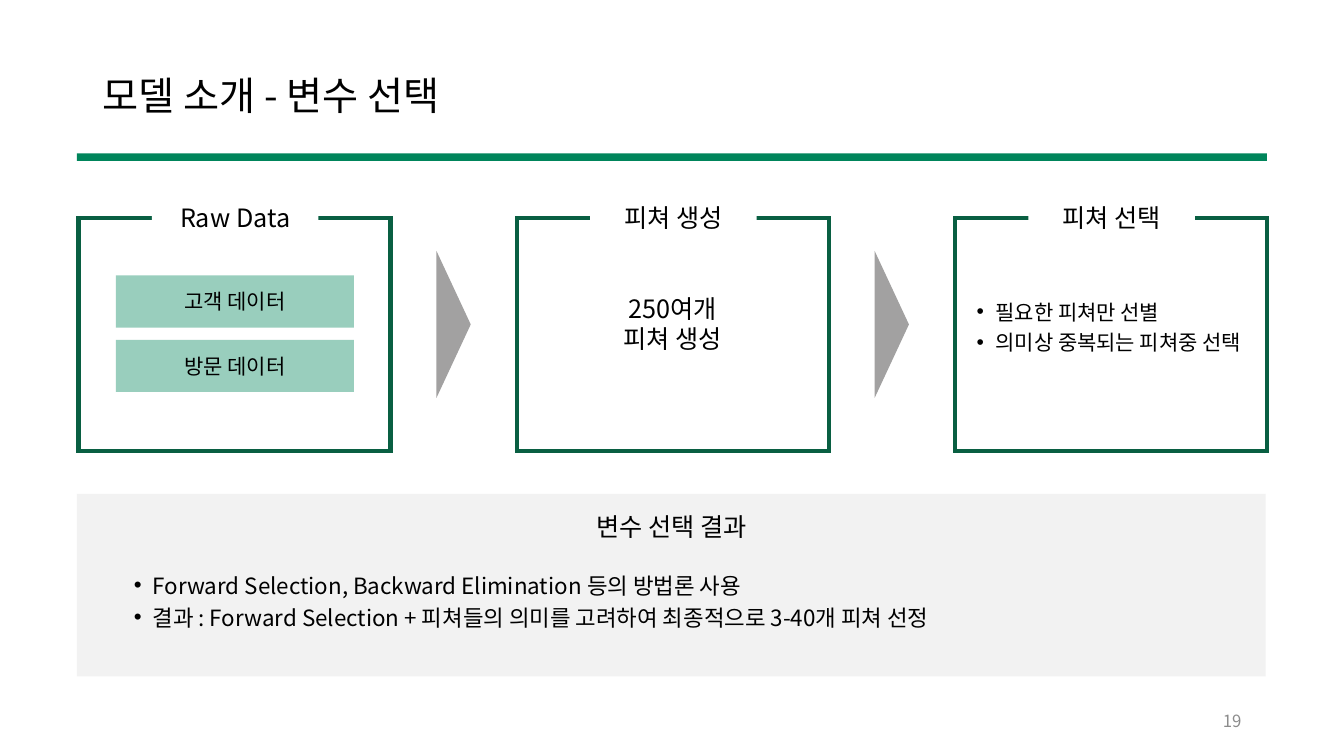
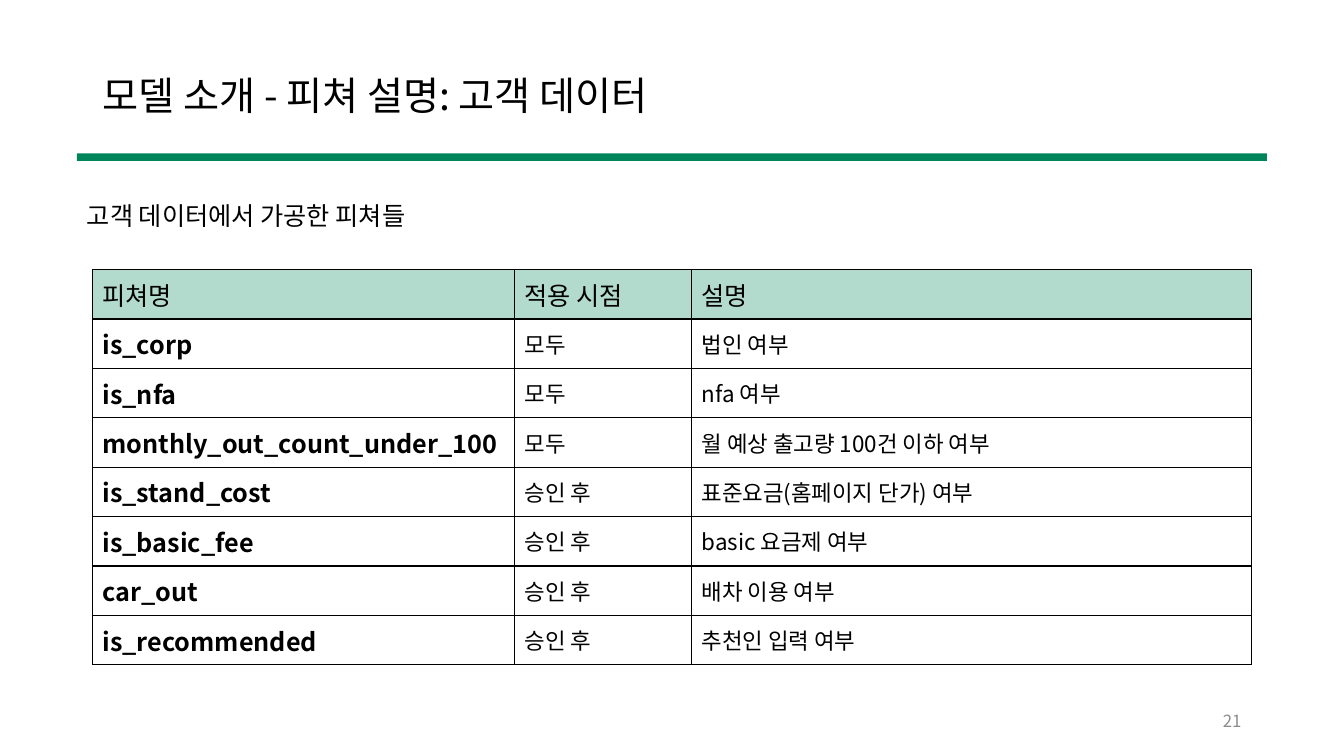
from dataclasses import dataclass
from typing import NamedTuple

from lxml import etree
from pptx import Presentation
from pptx.dml.color import RGBColor
from pptx.enum.shapes import MSO_SHAPE
from pptx.enum.text import MSO_ANCHOR, MSO_AUTO_SIZE, PP_ALIGN
from pptx.oxml.ns import qn
from pptx.util import Pt

RECT, TRIANGLE = MSO_SHAPE.RECTANGLE, MSO_SHAPE.ISOSCELES_TRIANGLE
LEFT, CENTER, RIGHT = PP_ALIGN.LEFT, PP_ALIGN.CENTER, PP_ALIGN.RIGHT
TOP, MIDDLE = MSO_ANCHOR.TOP, MSO_ANCHOR.MIDDLE
GROW, FIXED = MSO_AUTO_SIZE.SHAPE_TO_FIT_TEXT, MSO_AUTO_SIZE.NONE
TITLE_ONLY = 5


@dataclass(frozen=True)
class Theme:
    font: str = "Noto Sans CJK KR"
    text: str = "000000"
    muted: str = "8C8C8C"
    white: str = "FFFFFF"
    band: str = "00855B"
    frame: str = "095F42"
    chip: str = "99CEBD"
    header: str = "B2DACD"
    arrow: str = "A2A1A1"
    panel: str = "F2F2F2"
    title_size: float = 28
    head_size: float = 18
    body_size: float = 16
    small_size: float = 15
    number_size: float = 12


T = Theme()


class Box(NamedTuple):
    x: float
    y: float
    w: float
    h: float

    def pts(self) -> tuple:
        return tuple(Pt(v) for v in self)


class Style(NamedTuple):
    size: float
    color: str = T.text
    bold: bool = False
    align: PP_ALIGN = LEFT
    anchor: MSO_ANCHOR = TOP
    grow: bool = False
    spacing: float = 1.0
    bullet: bool = False


TITLE = Style(T.title_size, anchor=MIDDLE, spacing=0.9)
NUMBER = Style(T.number_size, T.muted, align=RIGHT, anchor=MIDDLE)
HEADING = Style(T.head_size, align=CENTER, grow=True)
INTRO = Style(T.head_size, grow=True)
CHIP = Style(T.small_size, align=CENTER, anchor=MIDDLE)
CARD_LIST = Style(T.small_size, grow=True, spacing=1.2, bullet=True)
RESULT_LIST = CARD_LIST._replace(size=T.body_size)
CELL_HEAD = Style(T.head_size, anchor=MIDDLE)
CELL_NAME = CELL_HEAD._replace(bold=True)
CELL_BODY = CELL_HEAD._replace(size=T.body_size)

TITLE_BOX = Box(66, 40, 828, 60)
BAND = Box(55, 109.5, 850, 5.5)
NUMBER_BOX = Box(678, 500.5, 216, 28.75)
CARD = Box(56, 155.5, 223, 166.5)
CARD_PITCH = 313
LABEL = Box(52.5, -14.5, 119, 29)
CHIPS = Box(82.8, 196.75, 170, 37.25)
CHIP_PITCH = 46
ARROW_W, ARROW_H = 105, 24.5
ARROW_Y = 231.75
PANEL = Box(55, 352.75, 849, 130.5)
CARD_LABELS = ["Raw Data", "피쳐 생성", "피쳐 선택"]
TABLE = Box(66, 192.5, 828, 282.4)
COLUMNS = [301.5, 126.5, 400]
ROWS = [
    ("피쳐명", "적용 시점", "설명"),
    ("is_corp", "모두", "법인 여부"),
    ("is_nfa", "모두", "nfa 여부"),
    ("monthly_out_count_under_100", "모두", "월 예상 출고량 100건 이하 여부"),
    ("is_stand_cost", "승인 후", "표준요금(홈페이지 단가) 여부"),
    ("is_basic_fee", "승인 후", "basic 요금제 여부"),
    ("car_out", "승인 후", "배차 이용 여부"),
    ("is_recommended", "승인 후", "추천인 입력 여부"),
]


def rgb(color: str) -> RGBColor:
    return RGBColor.from_string(color)


def set_attrs(target, values: dict) -> None:
    for name, value in values.items():
        setattr(target, name, value)


def add_bullet(p) -> None:
    pPr = p._p.get_or_add_pPr()
    pPr.set("marL", str(Pt(13.5)))
    pPr.set("indent", str(Pt(-13.5)))
    etree.SubElement(pPr, qn("a:buFont"), typeface="Arial")
    etree.SubElement(pPr, qn("a:buChar"), char="•")


def write(tf, lines: list[str], style: Style) -> None:
    for i, line in enumerate(lines):
        p = tf.paragraphs[0] if i == 0 else tf.add_paragraph()
        if style.bullet:
            add_bullet(p)
        set_attrs(p, {"alignment": style.align, "line_spacing": style.spacing})
        r = p.add_run()
        r.text = line
        set_attrs(r.font, {"name": T.font, "size": Pt(style.size), "bold": style.bold})
        r.font.color.rgb = rgb(style.color)
        etree.SubElement(r.font._element, qn("a:ea"), typeface=T.font)


def fill_frame(sp, lines: list[str], style: Style) -> None:
    tf = sp.text_frame
    set_attrs(tf, {
        "word_wrap": True,
        "auto_size": GROW if style.grow else FIXED,
        "vertical_anchor": style.anchor,
    })
    write(tf, lines, style)


def add_text(s, box: Box, lines: list[str], style: Style) -> None:
    fill_frame(s.shapes.add_textbox(*box.pts()), lines, style)


def add_block(s, box: Box, fill: str, kind: MSO_SHAPE = RECT):
    sp = s.shapes.add_shape(kind, *box.pts())
    sp.shadow.inherit = False
    sp.fill.solid()
    sp.fill.fore_color.rgb = rgb(fill)
    sp.line.fill.background()
    return sp


def add_card(s, x: float, label: str) -> None:
    sp = s.shapes.add_shape(RECT, *CARD._replace(x=x).pts())
    sp.shadow.inherit = False
    sp.fill.background()
    sp.line.color.rgb = rgb(T.frame)
    sp.line.width = Pt(3)
    ln = sp._element.spPr.find(qn("a:ln"))
    etree.SubElement(ln, qn("a:miter"), lim="800000")
    tab = LABEL._replace(x=x + LABEL.x, y=CARD.y + LABEL.y)
    fill_frame(add_block(s, tab, T.white), [label], HEADING)


def add_arrow(s, center: float) -> None:
    box = Box(center - ARROW_W / 2, ARROW_Y - ARROW_H / 2, ARROW_W, ARROW_H)
    add_block(s, box, T.arrow, TRIANGLE).rotation = 90


def add_borders(cell) -> None:
    tcPr = cell._tc.get_or_add_tcPr()
    for i, side in enumerate("LRTB"):
        ln = etree.Element(qn(f"a:ln{side}"), w=str(Pt(1)))
        fill = etree.SubElement(ln, qn("a:solidFill"))
        etree.SubElement(fill, qn("a:srgbClr"), val=T.text)
        tcPr.insert(i, ln)


def add_feature_table(s) -> None:
    table = s.shapes.add_table(len(ROWS), len(COLUMNS), *TABLE.pts()).table
    table.horz_banding = False
    for column, width in zip(table.columns, COLUMNS):
        column.width = Pt(width)
    for r, texts in enumerate(ROWS):
        table.rows[r].height = Pt(TABLE.h / len(ROWS))
        for c, text in enumerate(texts):
            cell = table.cell(r, c)
            cell.vertical_anchor = MIDDLE
            if r == 0:
                cell.fill.solid()
                cell.fill.fore_color.rgb = rgb(T.header)
                style = CELL_HEAD
            else:
                cell.fill.background()
                style = CELL_NAME if c == 0 else CELL_BODY
            add_borders(cell)
            write(cell.text_frame, [text], style)


def add_slide(prs, title: str, number: int):
    s = prs.slides.add_slide(prs.slide_layouts[TITLE_ONLY])
    sp = s.shapes.title
    set_attrs(sp, dict(zip(("left", "top", "width", "height"), TITLE_BOX.pts())))
    fill_frame(sp, [title], TITLE)
    add_block(s, BAND, T.band)
    add_text(s, NUMBER_BOX, [str(number)], NUMBER)
    return s


def build_selection(prs) -> None:
    s = add_slide(prs, "모델 소개 - 변수 선택", 19)
    gap = CARD_PITCH - CARD.w
    for i, label in enumerate(CARD_LABELS):
        x = CARD.x + i * CARD_PITCH
        add_card(s, x, label)
        if i:
            add_arrow(s, x - gap / 2)
    for i, text in enumerate(["고객 데이터", "방문 데이터"]):
        chip = CHIPS._replace(y=CHIPS.y + i * CHIP_PITCH)
        fill_frame(add_block(s, chip, T.chip), [text], CHIP)
    add_text(s, Box(418.5, 206, 124, 51), ["250여개", "피쳐 생성"], HEADING)
    add_text(s, Box(690.5, 206.5, 213, 49.5),
             ["필요한 피쳐만 선별", "의미상 중복되는 피쳐중 선택"], CARD_LIST)
    add_block(s, PANEL, T.panel)
    add_text(s, Box(374.5, 361.5, 211, 29), ["변수 선택 결과"], HEADING)
    add_text(s, Box(88.5, 401, 795.5, 52.5), [
        "Forward Selection, Backward Elimination 등의 방법론 사용",
        "결과 : Forward Selection + 피쳐들의 의미를 고려하여 최종적으로 3-40개 피쳐 선정",
    ], RESULT_LIST)


def build_features(prs) -> None:
    s = add_slide(prs, "모델 소개 - 피쳐 설명: 고객 데이터", 21)
    add_text(s, Box(55, 139.5, 713, 29), ["고객 데이터에서 가공한 피쳐들"], INTRO)
    add_feature_table(s)


def main() -> None:
    prs = Presentation()
    prs.slide_width, prs.slide_height = Pt(960), Pt(540)
    build_selection(prs)
    build_features(prs)
    prs.save("out.pptx")


if __name__ == "__main__":
    main()
